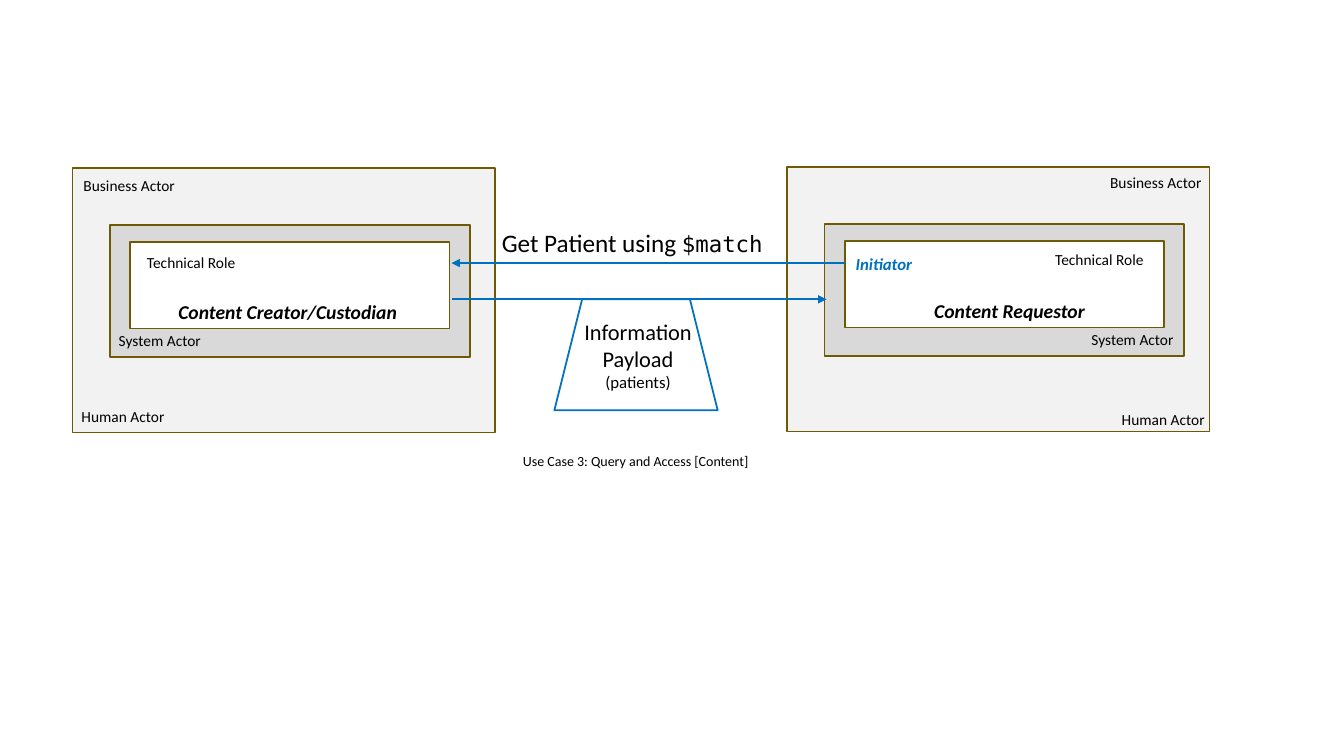
"""Build the Query and Access use case slide with two nested actor panels."""
from dataclasses import dataclass, field
from typing import Any

from lxml import etree
from pptx import Presentation
from pptx import util as u
from pptx.dml import color
from pptx.enum import shapes, text
from pptx.oxml import ns
from pptx.slide import Slide


@dataclass(frozen=True)
class Theme:
    """Colours, fonts and type sizes of the slide."""
    black: str = "000000"
    blue: str = "0070C0"
    olive: str = "705904"
    business: str = "F2F2F2"
    system: str = "D9D9D9"
    role: str = "FFFFFF"
    body: str = "Calibri"
    code: str = "DejaVu Sans Mono"
    caption: float = 10
    actor: float = 11
    note: float = 12
    title: float = 14
    payload: float = 16
    message: float = 18
    line: float = 1.25


THEME = Theme()


@dataclass(frozen=True)
class Run:
    """A stretch of text in one format."""
    words: str
    size: float = THEME.actor
    name: str = THEME.body
    strong: bool = False
    colour: str = THEME.black


@dataclass(frozen=True)
class Label:
    """A text box in points, with one list of runs per paragraph."""
    left: float
    top: float
    width: float
    height: float
    paragraphs: list[list[Run]] = field(default_factory=list)
    align: text.PP_ALIGN = text.PP_ALIGN.LEFT
    wrap: bool = False


@dataclass(frozen=True)
class Box:
    """An outlined preset shape in points."""
    left: float
    top: float
    width: float
    height: float
    outline: str
    fill: str | None = None
    preset: shapes.MSO_SHAPE = shapes.MSO_SHAPE.RECTANGLE


@dataclass(frozen=True)
class Arrow:
    """A horizontal arrow in points."""
    start: float
    end: float
    top: float


PANEL_ORIGINS = [(51.84, 120.24), (562.32, 119.52)]
NESTED = [
    Box(0, 0, 301.68, 188.64, THEME.olive, THEME.business),
    Box(26.64, 40.32, 257.04, 94.32, THEME.olive, THEME.system),
    Box(41.04, 52.56, 228.24, 61.92, THEME.olive, THEME.role),
]
PAYLOAD = Box(396, 213.84, 116.64, 79.2, THEME.blue,
              preset=shapes.MSO_SHAPE.TRAPEZOID)
ARROWS = [Arrow(603.36, 322.56, 187.92), Arrow(322.56, 590.4, 213.84)]
CENTER, RIGHT = text.PP_ALIGN.CENTER, text.PP_ALIGN.RIGHT
LABELS = [
    Label(52.56, 122.4, 79.92, 20.88, [[Run("Business Actor")]]),
    Label(77.76, 233.28, 74.16, 20.88, [[Run("System Actor")]]),
    Label(97.92, 177.12, 79.2, 20.88, [[Run("Technical Role")]]),
    Label(118.08, 210.96, 174.96, 24.48,
          [[Run("Content Creator/Custodian", THEME.title, strong=True)]], CENTER, True),
    Label(51.12, 287.28, 74.16, 20.88, [[Run("Human Actor")]]),
    Label(785.52, 120.24, 79.92, 20.88, [[Run("Business Actor")]], RIGHT),
    Label(772.56, 232.56, 74.16, 20.88, [[Run("System Actor")]]),
    Label(746.64, 174.96, 79.2, 20.88, [[Run("Technical Role")]]),
    Label(660.24, 210.24, 131.76, 24.48,
          [[Run("Content Requestor", THEME.title, strong=True)]], wrap=True),
    Label(794.16, 289.44, 74.16, 20.88, [[Run("Human Actor")]]),
    Label(604.08, 177.84, 55.44, 21.6,
          [[Run("Initiator", THEME.note, strong=True, colour=THEME.blue)]]),
    Label(351.36, 159.12, 210.24, 28.8,
          [[Run("Get Patient using ", THEME.message),
            Run("$match", THEME.payload, THEME.code)]]),
    Label(409.68, 223.92, 92.16, 60.48,
          [[Run("Information", THEME.payload)], [Run("Payload", THEME.payload)],
           [Run("(patients)", THEME.note)]], CENTER),
    Label(366.48, 319.68, 177.84, 19.44,
          [[Run("Use Case 3: Query and Access [Content]", THEME.caption)]]),
]


def apply(target: Any, values: dict[str, Any]) -> None:
    """Set each format value on the target."""
    for name, value in values.items():
        setattr(target, name, value)


def draw_outline(line: Any, colour: str) -> None:
    """Give a line its colour and width."""
    line.color.rgb = color.RGBColor.from_string(colour)
    line.width = u.Pt(THEME.line)


def draw_box(slide: Slide, box: Box, left: float = 0, top: float = 0) -> None:
    """Draw a box moved by the given offset."""
    shape = slide.shapes.add_shape(
        box.preset, u.Pt(left + box.left), u.Pt(top + box.top),
        u.Pt(box.width), u.Pt(box.height))
    shape.shadow.inherit = False
    draw_outline(shape.line, box.outline)
    if box.fill is None:
        shape.fill.background()
    else:
        shape.fill.solid()
        shape.fill.fore_color.rgb = color.RGBColor.from_string(box.fill)


def draw_arrow(slide: Slide, arrow: Arrow) -> None:
    """Draw an arrow with a triangle at its end."""
    connector = slide.shapes.add_connector(
        shapes.MSO_CONNECTOR.STRAIGHT, u.Pt(arrow.start), u.Pt(arrow.top),
        u.Pt(arrow.end), u.Pt(arrow.top))
    draw_outline(connector.line, THEME.blue)
    line = connector.line._get_or_add_ln()
    etree.SubElement(line, ns.qn("a:tailEnd"), type="triangle")
    etree.SubElement(connector._element.spPr, ns.qn("a:effectLst"))


def draw_label(slide: Slide, label: Label) -> None:
    """Draw a text box that fits its text."""
    shape = slide.shapes.add_textbox(
        u.Pt(label.left), u.Pt(label.top), u.Pt(label.width), u.Pt(label.height))
    frame = shape.text_frame
    apply(frame, {"word_wrap": label.wrap,
                  "auto_size": text.MSO_AUTO_SIZE.SHAPE_TO_FIT_TEXT})
    for index, runs in enumerate(label.paragraphs):
        paragraph = frame.add_paragraph() if index else frame.paragraphs[0]
        paragraph.alignment = label.align
        for item in runs:
            run = paragraph.add_run()
            run.text = item.words
            apply(run.font, {"size": u.Pt(item.size), "name": item.name,
                             "bold": item.strong, "italic": item.strong})
            run.font.color.rgb = color.RGBColor.from_string(item.colour)


def main() -> None:
    """Build and save the presentation."""
    presentation = Presentation()
    apply(presentation, {"slide_width": u.Pt(960), "slide_height": u.Pt(540)})
    slide = presentation.slides.add_slide(presentation.slide_layouts[6])
    for left, top in PANEL_ORIGINS:
        for box in NESTED:
            draw_box(slide, box, left, top)
    for arrow in ARROWS:
        draw_arrow(slide, arrow)
    draw_box(slide, PAYLOAD)
    for label in LABELS:
        draw_label(slide, label)
    presentation.save("out.pptx")


if __name__ == "__main__":
    main()
